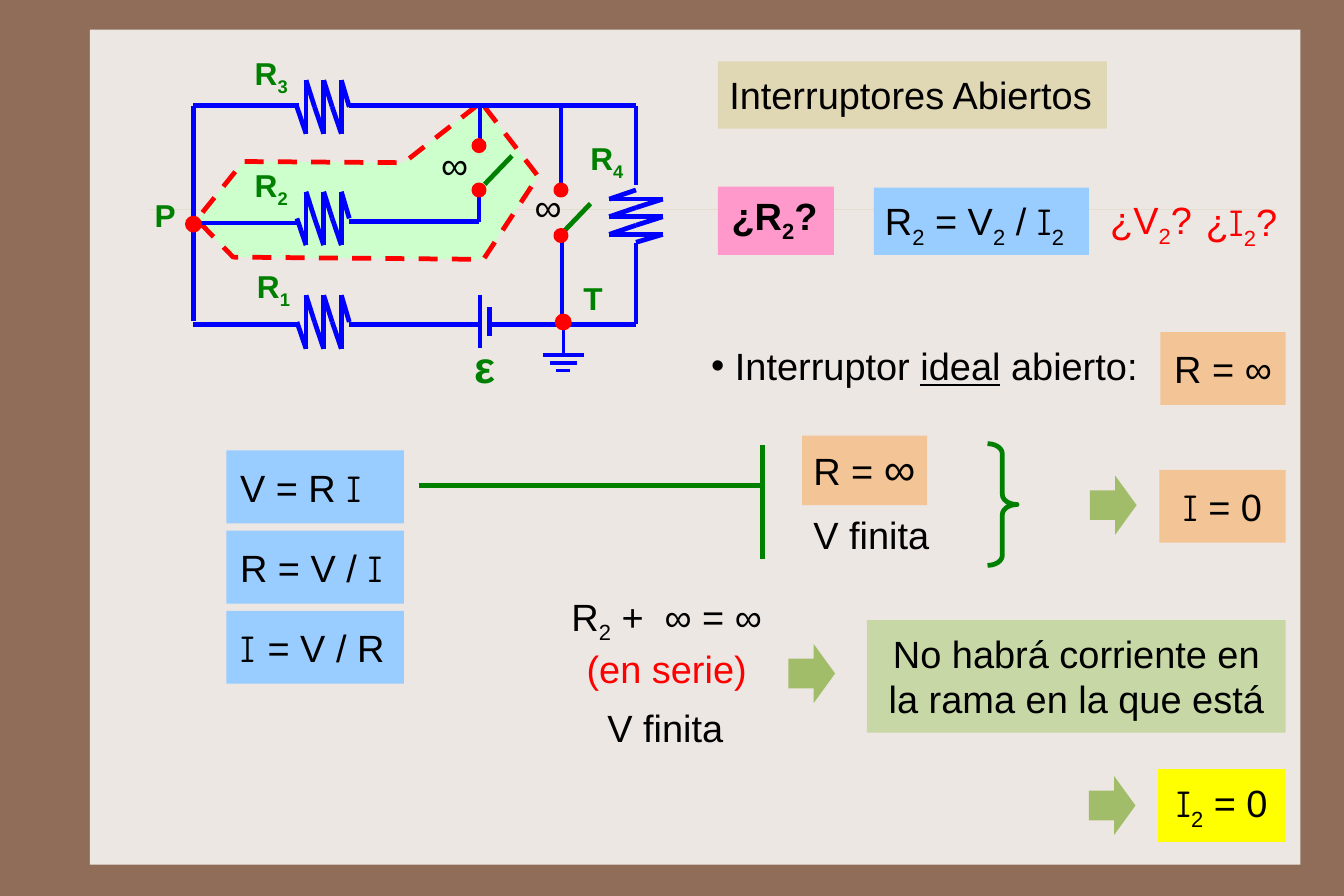
from itertools import pairwise
from lxml import etree
from pptx import Presentation
from pptx.dml.color import RGBColor
from pptx.enum.dml import MSO_LINE
from pptx.enum.shapes import MSO_CONNECTOR, MSO_SHAPE
from pptx.enum.text import MSO_ANCHOR, MSO_AUTO_SIZE, PP_ALIGN
from pptx.oxml.ns import qn
from pptx.util import Inches, Pt

RECT, OVAL = MSO_SHAPE.RECTANGLE, MSO_SHAPE.OVAL
ARROW, BRACE = MSO_SHAPE.RIGHT_ARROW, MSO_SHAPE.RIGHT_BRACE
STRAIGHT, DASH = MSO_CONNECTOR.STRAIGHT, MSO_LINE.DASH
TOP, MIDDLE = MSO_ANCHOR.TOP, MSO_ANCHOR.MIDDLE
LEFT, CENTER = PP_ALIGN.LEFT, PP_ALIGN.CENTER
FIXED = MSO_AUTO_SIZE.NONE

BLACK, RED, BLUE, GREEN = "000000", "FF0000", "0000FF", "008000"
SKY, PEACH, SAND, LEAF = "99CCFF", "F3C495", "E0D7B5", "A1BD69"
SANS, SCRIPT = "Arial", "Comic Neue"
THIN, SNUG, EVEN = (.1, .05, .1, .05), (.1, .09, .1, .09), (.12,) * 4
HIGH = (.1, .04, .1, .09)


def paint(fill, tone):
    fill.solid()
    fill.fore_color.rgb = RGBColor.from_string(tone)


def place(shape, box):
    shape.left, shape.top, shape.width, shape.height = map(Inches, box)


def write(shape, text, size=24, tone=BLACK, bold=False, align=LEFT,
          anchor=TOP, inset=SNUG, wrap=False, bullet=False):
    """Parts split by |: _ subscript, ~ script font, ^ larger, ! underline, @ red."""
    frame = shape.text_frame
    frame.auto_size = FIXED
    frame.word_wrap = wrap
    frame.vertical_anchor = anchor
    (frame.margin_left, frame.margin_top,
     frame.margin_right, frame.margin_bottom) = map(Inches, inset)
    para = frame.paragraphs[0]
    if bullet:
        props = para._p.get_or_add_pPr()
        props.set("marL", str(Inches(.21)))
        props.set("indent", str(-Inches(.21)))
        etree.SubElement(props, qn("a:buChar"), char="•")
    para.alignment = align
    para.space_before = Pt(0)
    for part in text.split("|"):
        mark = part[0] if part[0] in "_~^!@" else ""
        run = para.add_run()
        run.text = part[len(mark):]
        font = run.font
        font.name = SCRIPT if mark == "~" else SANS
        font.size = Pt(size + 4 if mark == "^" else size)
        font.bold = bold
        font.color.rgb = RGBColor.from_string(RED if mark == "@" else tone)
        if mark == "!":
            font.underline = True
        if mark == "_":
            run._r.get_or_add_rPr().set("baseline", "-25000")


def shape(slide, kind, box, fill=None, line=None, width=3):
    item = slide.shapes.add_shape(kind, *map(Inches, box))
    item.shadow.inherit = False
    if fill:
        paint(item.fill, fill)
    else:
        item.fill.background()
    if line:
        paint(item.line.fill, line)
        item.line.width = Pt(width)
    else:
        item.line.fill.background()
    return item


def panel(slide, box, fill, text, **form):
    write(shape(slide, RECT, box, fill), text, **form)


def label(slide, box, text, **form):
    write(slide.shapes.add_textbox(*map(Inches, box)), text, **form)


def wire(slide, points, tone=BLUE, width=3):
    for start, end in pairwise(points):
        item = slide.shapes.add_connector(STRAIGHT, *map(Inches, start + end))
        paint(item.line.fill, tone)
        item.line.width = Pt(width)
        etree.SubElement(item._element.spPr, qn("a:effectLst"))


def coil(slide, x, y, upright=False):
    steps = []
    for turn in range(3):
        along = turn * .155
        steps += [(along, 0), (along + .08, .235), (along + .08, -.235)]
    steps.append((.46, 0))
    wire(slide, [(x - v, y + u) if upright else (x + u, y + v) for u, v in steps])


def dot(slide, x, y, size, width):
    shape(slide, OVAL, (x - size / 2, y - size / 2, size, size), RED, RED, width)


def arrow(slide, x, y):
    item = shape(slide, ARROW, (x, y, .41, .52), LEAF)
    item.adjustments[0], item.adjustments[1] = .5, .46


def region(slide, points):
    spots = [tuple(map(Inches, point)) for point in points]
    path = slide.shapes.build_freeform(*spots[0])
    path.add_line_segments(spots[1:], close=False)
    item = path.convert_to_shape()
    item.shadow.inherit = False
    paint(item.fill, "CCFFCC")
    paint(item.line.fill, RED)
    item.line.width = Pt(3)
    item.line.dash_style = DASH


def circuit(slide):
    region(slide, [(4.19, .93), (3.55, 1.43), (2.14, 1.42), (1.73, 1.93),
                   (2.05, 2.26), (4.25, 2.28), (4.73, 1.55), (4.26, .94)])
    for points in (
        [(3.07, .93), (5.59, .93), (5.59, 1.63)],
        [(5.59, 2.14), (5.59, 2.85), (4.3, 2.85)],
        [(2.63, .93), (1.7, .93), (1.7, 2.82)],
        [(2.62, 1.96), (1.69, 1.96)],
        [(2.63, 2.85), (1.7, 2.85)],
        [(4.22, 2.85), (3.07, 2.85)],
        [(4.21, 1.63), (4.21, 1.95), (3.07, 1.95)],
        [(4.22, .93), (4.22, 1.24)],
        [(4.93, 1.63), (4.93, .93)],
        [(4.94, 2.13), (4.94, 2.83)],
        [(4.22, 2.59), (4.22, 3.06)],
        [(4.3, 2.7), (4.3, 2.95)],
    ):
        wire(slide, points)
    for x, y in ((4.26, 1.62), (4.95, 2.04)):
        wire(slide, [(x, y), (x + .24, y - .25)], GREEN)
    for x, y in ((4.21, 1.28), (4.21, 1.67), (4.93, 1.67), (4.93, 2.07)):
        dot(slide, x, y, .09, 3)
    for y in (.94, 1.92, 2.83):
        coil(slide, 2.61, y)
    coil(slide, 5.59, 1.67, upright=True)
    wire(slide, [(4.95, 2.85), (4.95, 3.12)], width=2)
    for row, half in enumerate((.18, .12, .06)):
        y = 3.12 + row * .07
        wire(slide, [(4.95 - half, y), (4.95 + half, y)], width=2)
    for x, y in ((4.95, 2.83), (1.7, 1.97)):
        dot(slide, x, y, .12, 2)
    for x, y, name in ((2.16, 2.26, "R|_1"), (2.14, 1.37, "R|_2"),
                       (2.14, .38, "R|_3"), (5.09, 1.13, "R|_4"),
                       (1.26, 1.63, "P"), (5.03, 2.36, "T")):
        label(slide, (x, y, .5 if "_" in name else .38, .51), name,
              size=20, tone=GREEN, bold=True)
    label(slide, (4.07, 2.93, .4, .57), "ε", size=28, tone=GREEN,
          bold=True, inset=THIN)
    for x, y in ((3.78, 1.15), (4.6, 1.52)):
        label(slide, (x, y, .44, .58), "∞")


def heads(slide):
    title, body = slide.shapes.title, slide.placeholders[1]
    for item in (title, body):
        item.element.getparent().append(item.element)
    place(title, (6.31, .54, 3.42, .59))
    paint(title.fill, SAND)
    write(title, "Interruptores Abiertos")
    place(body, (6.15, 2.92, 4.1, .51))
    write(body, "Interruptor |!ideal| abierto:", bullet=True)


def answers(slide):
    panel(slide, (6.31, 1.64, 1.02, .6), "FF99CC", "¿R|_2|?", bold=True,
          anchor=MIDDLE, inset=(.12, .08, .12, .12))
    panel(slide, (7.68, 1.65, 1.89, .59), SKY, "R|_2| = V|_2| / |~I|_2")
    label(slide, (9.66, 1.68, .94, .5), "¿V|_2|?", tone=RED, inset=THIN)
    label(slide, (10.5, 1.7, .9, .5), "¿|~I|_2|?", tone=RED, inset=THIN)
    for row, law in enumerate(("V = R |~I", "R = V / |~I", "~I |= V / R")):
        panel(slide, (1.99, 3.96 + row * .705, 1.56, .64), SKY, law,
              anchor=MIDDLE, inset=EVEN)
    for x, y, fill, text in ((10.2, 2.92, PEACH, "R = ∞"),
                             (10.19, 4.13, PEACH, "~I| = 0"),
                             (10.18, 6.76, "FFFF00", "~I|_2| = 0")):
        panel(slide, (x, y, 11.3 - x, .64), fill, text, align=CENTER,
              anchor=MIDDLE, inset=EVEN)
    panel(slide, (7.05, 3.83, 1.1, .61), PEACH, "R = |^∞", anchor=MIDDLE, inset=HIGH)
    for x, y in ((7.05, 4.41), (5.24, 6.1)):
        label(slide, (x, y, 1.25, .58), "V finita")
    label(slide, (4.89, 5.2, 1.94, .94), "R|_2| +  ∞ = ∞ |@(en serie)",
          align=CENTER, anchor=MIDDLE, inset=HIGH, wrap=True)
    panel(slide, (7.62, 5.45, 3.68, .99), "C7D7A5",
          "No habrá corriente en la rama en la que está", align=CENTER, wrap=True)
    brace = shape(slide, BRACE, (8.68, 3.9, .26, 1.07), line=GREEN)
    brace.adjustments[0] = .34
    wire(slide, [(3.68, 4.27), (6.68, 4.27)], GREEN)
    wire(slide, [(6.7, 4.91), (6.7, 3.91)], GREEN)
    for x, y in ((9.58, 4.18), (9.57, 6.82), (6.93, 5.66)):
        arrow(slide, x, y)


def main():
    deck = Presentation()
    deck.slide_width, deck.slide_height = Inches(189 / 16), Inches(63 / 8)
    slide = deck.slides.add_slide(deck.slide_layouts[1])
    paint(slide.background.fill, "906D58")
    shape(slide, RECT, (.79, .26, 10.64, 7.34), "EDE7E3")
    wire(slide, [(1.31, 1.84), (11.22, 1.84)], "E4DDD0", .25)
    circuit(slide)
    heads(slide)
    answers(slide)
    deck.save("out.pptx")


if __name__ == "__main__":
    main()
